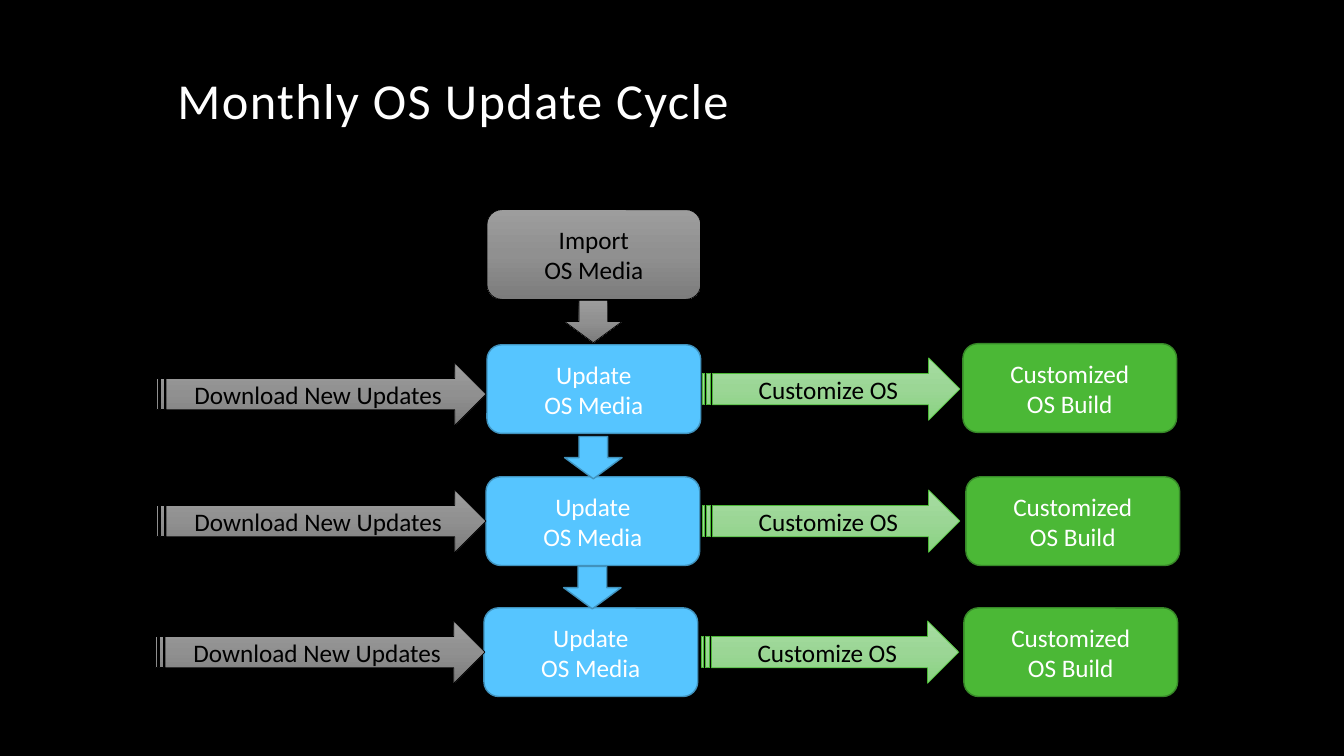
from copy import deepcopy

from pptx import Presentation
from pptx.dml.color import RGBColor
from pptx.enum.shapes import MSO_SHAPE
from pptx.enum.text import MSO_ANCHOR, PP_ALIGN
from pptx.oxml.ns import qn
from pptx.util import Inches, Pt

ROUNDED = MSO_SHAPE.ROUNDED_RECTANGLE
STRIPED = MSO_SHAPE.STRIPED_RIGHT_ARROW
DOWN = MSO_SHAPE.DOWN_ARROW
MIDDLE, BOTTOM = MSO_ANCHOR.MIDDLE, MSO_ANCHOR.BOTTOM
LEFT, CENTER = PP_ALIGN.LEFT, PP_ALIGN.CENTER

STYLES = {
    "gray": {"fills": ["9D9D9D", "909090", "7C7C7C"], "line": "000000", "width": 0.5, "text": "000000"},
    "blue": {"fills": ["56C5FF"], "line": "4092BD", "width": 1, "text": "FFFFFF"},
    "green": {"fills": ["4BB836"], "line": "378828", "width": 1, "text": "FFFFFF"},
    "pale": {"fills": ["A7DDA2", "9BD695", "89D381"], "line": "4BB836", "width": 0.5, "text": "000000"},
}
KINDS = {
    "import": (ROUNDED, "gray", 2.12, 0.89, ["Import", "OS Media"]),
    "update": (ROUNDED, "blue", 2.12, 0.88, ["Update", "OS Media"]),
    "build": (ROUNDED, "green", 2.12, 0.88, ["Customized", "OS Build"]),
    "download": (STRIPED, "gray", 3.27, 0.62, ["Download New Updates"]),
    "customize": (STRIPED, "pale", 2.55, 0.62, ["Customize OS"]),
    "first step": (DOWN, "gray", 0.57, 0.42, []),
    "next step": (DOWN, "blue", 0.57, 0.42, []),
}
CYCLES = [
    {"update": (4.83, 3.42), "build": (9.55, 3.41), "download": (1.55, 3.6),
     "first step": (5.6, 2.98), "customize": (6.97, 3.55)},
    {"update": (4.82, 4.73), "build": (9.58, 4.73), "download": (1.55, 4.86),
     "next step": (5.6, 4.33), "customize": (6.97, 4.86)},
    {"update": (4.8, 6.03), "build": (9.56, 6.03), "download": (1.54, 6.16),
     "next step": (5.59, 5.62), "customize": (6.96, 6.16)},
]


def color(value):
    return RGBColor.from_string(value)


def write(para, text, size, shade, align):
    para.alignment = align
    span = para.add_run()
    span.text = text
    for name, value in {"name": "Calibri", "size": Pt(size), "bold": False}.items():
        setattr(span.font, name, value)
    span.font.color.rgb = color(shade)
    return span


deck = Presentation()
deck.slide_width, deck.slide_height = Inches(13.33), Inches(7.5)
page = deck.slides.add_slide(deck.slide_layouts[5])
page.background.fill.solid()
page.background.fill.fore_color.rgb = color("000000")

title = page.shapes.title
title_place = {"left": 1.66, "top": 0.42, "width": 10, "height": 1.5}
for name, value in title_place.items():
    setattr(title, name, Inches(value))
title_frame = {"vertical_anchor": BOTTOM, "word_wrap": True, "margin_bottom": Inches(0.63)}
for name, value in title_frame.items():
    setattr(title.text_frame, name, value)
heading = title.text_frame.paragraphs[0]
heading.line_spacing = 0.9
span = write(heading, "Monthly OS Update Cycle", 36, "FFFFFF", LEFT)
span.font._element.set("spc", "100")

for cycle in [{"import": (4.83, 2.08)}] + CYCLES:
    for kind, (left, top) in cycle.items():
        preset, style_name, width, height, lines = KINDS[kind]
        style = STYLES[style_name]
        box = page.shapes.add_shape(preset, Inches(left), Inches(top), Inches(width), Inches(height))
        box.shadow.inherit = False
        box.line.color.rgb = color(style["line"])
        box.line.width = Pt(style["width"])
        fills = style["fills"]
        if len(fills) == 1:
            box.fill.solid()
            box.fill.fore_color.rgb = color(fills[0])
        else:
            box.fill.gradient()
            box.fill.gradient_angle = 270
            first_stop = next(box._element.spPr.iter(qn("a:gs")))
            first_stop.addnext(deepcopy(first_stop))
            for index, stop in enumerate(box.fill.gradient_stops):
                stop.position = index / 2
                stop.color.rgb = color(fills[index])
        frame = box.text_frame
        frame.vertical_anchor = MIDDLE
        frame.word_wrap = True
        for index, line in enumerate(lines):
            para = frame.add_paragraph() if index else frame.paragraphs[0]
            write(para, line, 18, style["text"], CENTER)

deck.save("out.pptx")
